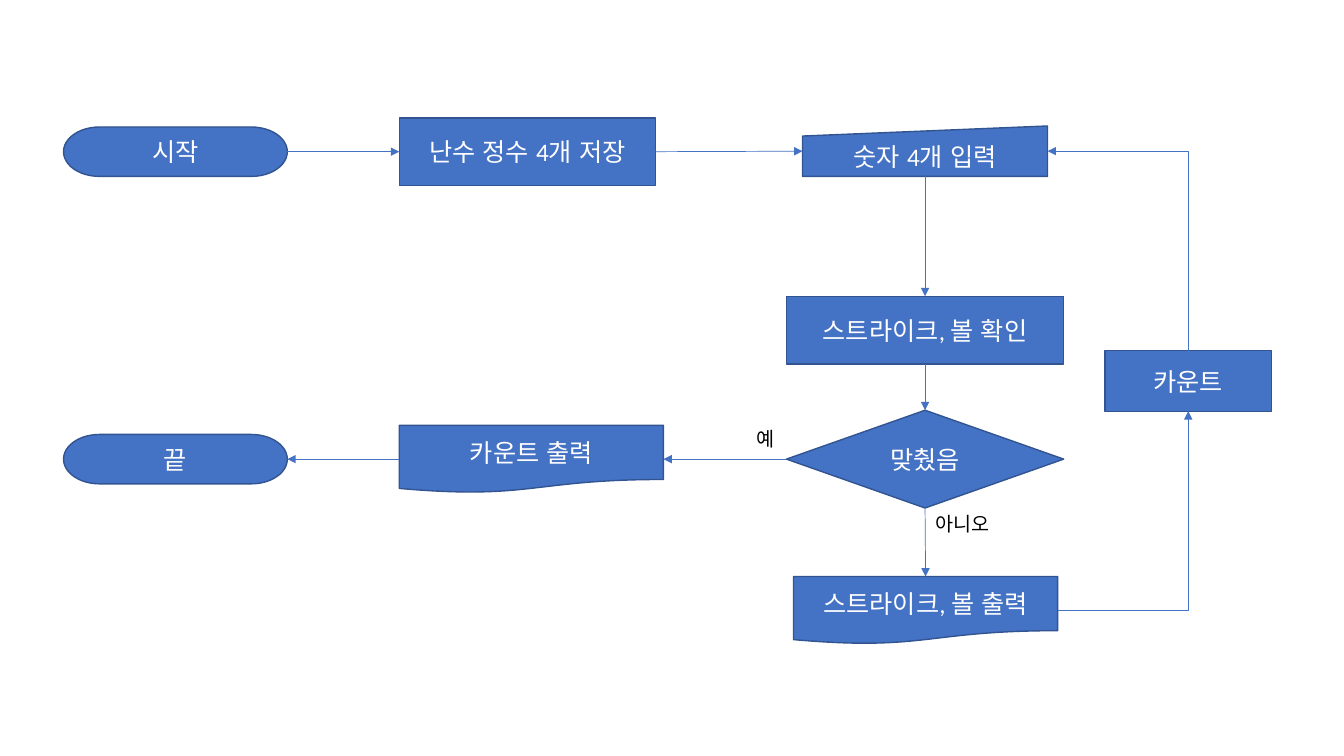
import dataclasses
import typing

import lxml.etree
import pptx
import pptx.dml.color
import pptx.enum.lang
import pptx.enum.shapes
import pptx.enum.text
import pptx.oxml.ns
import pptx.util

Inches = pptx.util.Inches
Kind = pptx.enum.shapes.MSO_SHAPE
Link = pptx.enum.shapes.MSO_CONNECTOR

# Connection sites shared by all flowchart shapes
TOP, LEFT, BOTTOM, RIGHT = range(4)


@dataclasses.dataclass(frozen=True)
class Theme:
    font: str = "Calibri"
    fill: str = "4472C4"
    outline: str = "325491"
    step_text: str = "FFFFFF"
    label_text: str = "000000"
    step_size: float = 18
    label_size: float = 14
    outline_width: float = 1
    arrow_width: float = 0.5


@dataclasses.dataclass(frozen=True)
class Step:
    kind: Kind
    text: str
    left: float
    top: float
    width: float
    height: float


@dataclasses.dataclass(frozen=True)
class Label:
    text: str
    left: float
    top: float
    width: float
    height: float = 0.34


@dataclasses.dataclass(frozen=True)
class Arrow:
    source: str
    source_site: int
    target: str
    target_site: int


THEME = Theme()

STEPS = {
    "start": Step(Kind.FLOWCHART_TERMINATOR, "시작", 0.63, 1.26, 2.22, 0.49),
    "store": Step(Kind.FLOWCHART_PROCESS, "난수 정수 4개 저장", 3.96, 1.17, 2.54, 0.67),
    "input": Step(Kind.FLOWCHART_MANUAL_INPUT, "숫자 4개 입력", 7.96, 1.25, 2.43, 0.5),
    "check": Step(Kind.FLOWCHART_PROCESS, "스트라이크, 볼 확인", 7.8, 2.94, 2.75, 0.67),
    "decision": Step(Kind.FLOWCHART_DECISION, "맞췄음", 7.8, 4.07, 2.75, 0.97),
    "result": Step(Kind.FLOWCHART_DOCUMENT, "스트라이크, 볼 출력", 7.87, 5.72, 2.62, 0.67),
    "count": Step(Kind.FLOWCHART_PROCESS, "카운트", 10.96, 3.48, 1.65, 0.6),
    "total": Step(Kind.FLOWCHART_DOCUMENT, "카운트 출력", 3.96, 4.22, 2.62, 0.67),
    "end": Step(Kind.FLOWCHART_TERMINATOR, "끝", 0.63, 4.31, 2.22, 0.49),
}

ARROWS = [
    Arrow("start", RIGHT, "store", LEFT),
    Arrow("store", RIGHT, "input", LEFT),
    Arrow("input", BOTTOM, "check", TOP),
    Arrow("check", BOTTOM, "decision", TOP),
    Arrow("decision", LEFT, "total", RIGHT),
    Arrow("total", LEFT, "end", RIGHT),
    Arrow("decision", BOTTOM, "result", TOP),
    Arrow("result", RIGHT, "count", BOTTOM),
    Arrow("count", TOP, "input", RIGHT),
]

LABELS = [Label("예", 7.41, 4.19, 0.4), Label("아니오", 9.18, 5.03, 0.79)]


def color(value: str) -> pptx.dml.color.RGBColor:
    return pptx.dml.color.RGBColor.from_string(value)


def apply_format(target: typing.Any, values: dict[str, typing.Any]) -> None:
    for name, value in values.items():
        setattr(target, name, value)


def write_text(frame: typing.Any, text: str, size: float, text_color: str,
               alignment: typing.Any) -> None:
    paragraph = frame.paragraphs[0]
    paragraph.alignment = alignment
    run = paragraph.add_run()
    run.text = text
    apply_format(run.font, {
        "name": THEME.font,
        "size": pptx.util.Pt(size),
        "language_id": pptx.enum.lang.MSO_LANGUAGE_ID.KOREAN,
    })
    run.font.color.rgb = color(text_color)


def draw_step(slide: typing.Any, step: Step) -> typing.Any:
    shape = slide.shapes.add_shape(
        step.kind, Inches(step.left), Inches(step.top),
        Inches(step.width), Inches(step.height))
    shape.shadow.inherit = False
    shape.fill.solid()
    shape.fill.fore_color.rgb = color(THEME.fill)
    shape.line.color.rgb = color(THEME.outline)
    shape.line.width = pptx.util.Pt(THEME.outline_width)
    apply_format(shape.text_frame, {
        "word_wrap": True,
        "vertical_anchor": pptx.enum.text.MSO_ANCHOR.MIDDLE,
    })
    write_text(shape.text_frame, step.text, THEME.step_size, THEME.step_text,
               pptx.enum.text.PP_ALIGN.CENTER)
    return shape


def draw_label(slide: typing.Any, label: Label) -> None:
    box = slide.shapes.add_textbox(
        Inches(label.left), Inches(label.top), Inches(label.width), Inches(label.height))
    apply_format(box.text_frame, {
        "word_wrap": False,
        "auto_size": pptx.enum.text.MSO_AUTO_SIZE.SHAPE_TO_FIT_TEXT,
    })
    write_text(box.text_frame, label.text, THEME.label_size, THEME.label_text,
               pptx.enum.text.PP_ALIGN.LEFT)


def bend_once(connector: typing.Any, vertical_first: bool) -> None:
    """Give the connector one corner; turn its frame if it leaves vertically."""
    properties = connector._element.spPr
    properties.find(pptx.oxml.ns.qn("a:prstGeom")).set("prst", "bentConnector2")
    if vertical_first:
        width, height = connector.width, connector.height
        apply_format(connector, {
            "left": connector.left + (width - height) // 2,
            "top": connector.top + (height - width) // 2,
            "width": height,
            "height": width,
        })
        frame = properties.find(pptx.oxml.ns.qn("a:xfrm"))
        for name, value in {"rot": "16200000", "flipH": "0", "flipV": "1"}.items():
            frame.set(name, value)


def draw_arrow(slide: typing.Any, arrow: Arrow, shapes: dict[str, typing.Any]) -> None:
    # Opposite sites face each other; any other pair needs a corner
    straight = abs(arrow.source_site - arrow.target_site) == 2
    connector = slide.shapes.add_connector(
        Link.STRAIGHT if straight else Link.ELBOW, 0, 0, 0, 0)
    connector.begin_connect(shapes[arrow.source], arrow.source_site)
    connector.end_connect(shapes[arrow.target], arrow.target_site)
    if not straight:
        bend_once(connector, arrow.source_site in (TOP, BOTTOM))
    connector.line.color.rgb = color(THEME.fill)
    connector.line.width = pptx.util.Pt(THEME.arrow_width)
    line = connector.line._get_or_add_ln()
    lxml.etree.SubElement(line, pptx.oxml.ns.qn("a:tailEnd"), type="triangle")
    lxml.etree.SubElement(connector._element.spPr, pptx.oxml.ns.qn("a:effectLst"))


def main() -> None:
    presentation = pptx.Presentation()
    apply_format(presentation, {"slide_width": Inches(13.33), "slide_height": Inches(7.5)})
    slide = presentation.slides.add_slide(presentation.slide_layouts[6])

    # Flowchart steps, then the arrows glued to them, then the branch labels
    shapes = {name: draw_step(slide, step) for name, step in STEPS.items()}
    for arrow in ARROWS:
        draw_arrow(slide, arrow, shapes)
    for label in LABELS:
        draw_label(slide, label)

    presentation.save("out.pptx")


if __name__ == "__main__":
    main()
